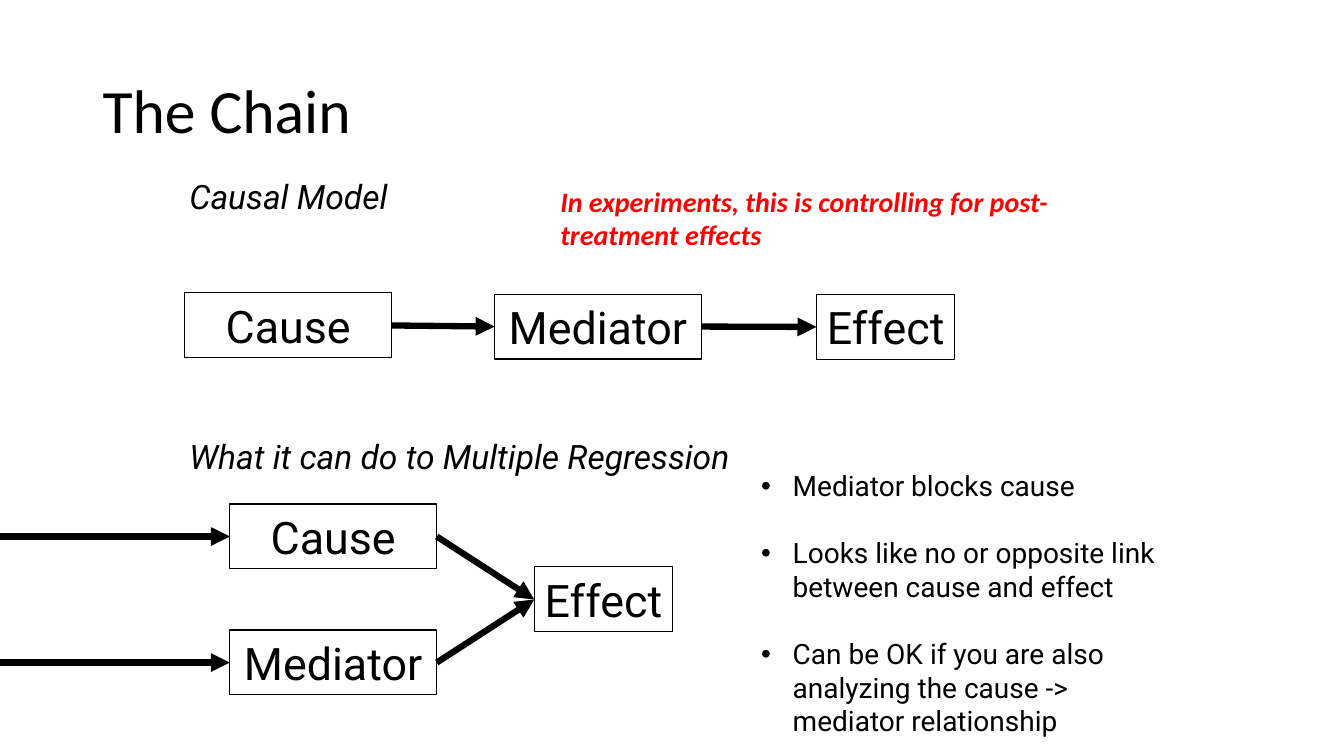
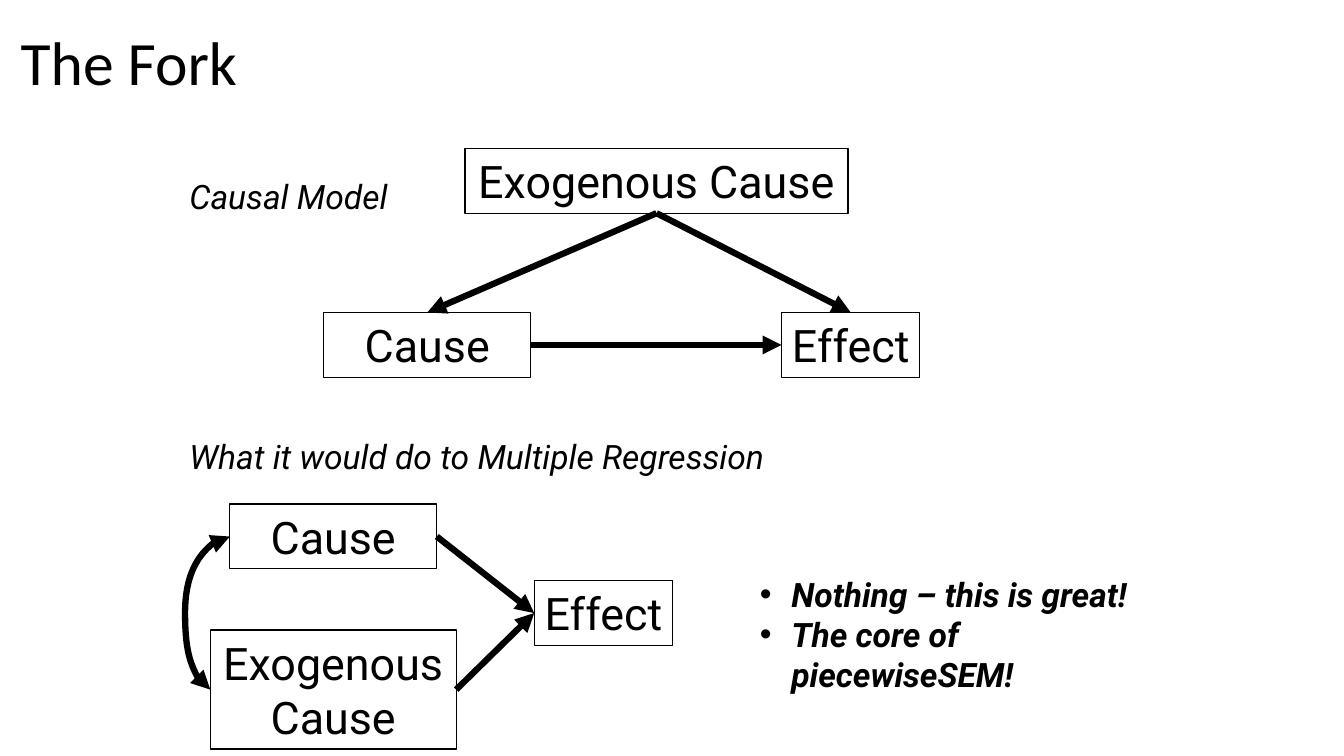
import pptx
import pptx.util
import pptx.dml.color
import pptx.enum.shapes
import pptx.enum.text
import pptx.oxml
import pptx.oxml.ns

Pt = pptx.util.Pt
BLACK = pptx.dml.color.RGBColor(0, 0, 0)
RED = pptx.dml.color.RGBColor(255, 0, 0)
HEAD, BODY = "Calibri", "Roboto"
WIDE, HIGH = pptx.util.Inches(13.33), pptx.util.Inches(7.5)
COL, ROW = WIDE / 100, HIGH / 100
BIG, SMALL, TALL = 15.4, 10.3, 8.6
TOP, LEFT, BASE, RIGHT = range(4)
ALIGN = pptx.enum.text.PP_ALIGN
ANCHOR = pptx.enum.text.MSO_ANCHOR
SHAPE = pptx.enum.shapes.MSO_SHAPE
LINK = pptx.enum.shapes.MSO_CONNECTOR


def add_tag(parent, tag, **values):
    """Append one empty drawing element and return it."""
    item = pptx.oxml.parse_xml(f"<a:{tag} {pptx.oxml.ns.nsdecls('a')}/>")
    for key, value in values.items():
        item.set(key, value)
    parent.append(item)
    return item


def scale(box):
    """Turn shares of the slide into lengths."""
    x, y, w, h = box
    return round(x * COL), round(y * ROW), round(w * COL), round(h * ROW)


def write(shape, lines, size=24, font=BODY, color=BLACK, bold=False, slant=False,
          align=ALIGN.LEFT, anchor=ANCHOR.TOP, wrap=True, lead=None, gap=0, dots=False):
    """Fill a shape with formatted paragraphs."""
    frame = shape.text_frame
    frame.word_wrap, frame.vertical_anchor = wrap, anchor
    for i, line in enumerate(lines):
        para = frame.add_paragraph() if i else frame.paragraphs[0]
        para.alignment = align
        if lead:
            para.line_spacing = lead
        if i and gap:
            para.space_before = Pt(gap)
        if dots:
            props = para._p.get_or_add_pPr()
            props.set("marL", str(Pt(22.5)))
            props.set("indent", str(-Pt(22.5)))
            add_tag(props, "buFont", typeface="Arial")
            add_tag(props, "buChar", char="•")
        run = para.add_run()
        run.text = line
        run.font.size, run.font.name = Pt(size), font
        run.font.bold, run.font.italic = bold, slant
        run.font.color.rgb = color


def put(slide, box, *lines, **style):
    """Place a text box."""
    write(slide.shapes.add_textbox(*scale(box)), lines, **style)


def title(slide, x, y, text):
    """Place the slide title."""
    put(slide, (x, y, 86.25, 19.33), text, size=44, font=HEAD,
        anchor=ANCHOR.MIDDLE, lead=0.9)


def labels(slide, *texts):
    """Head the upper and lower halves of a slide."""
    for y, text in zip((22.67, 57.07), texts):
        put(slide, (13.35, y, 48, 6.7), text, slant=True)


def node(slide, x, y, w, *lines, h=TALL):
    """Draw an outlined box of the diagram."""
    shape = slide.shapes.add_shape(SHAPE.RECTANGLE, *scale((x, y, w, h)))
    shape.shadow.inherit = False
    shape.fill.background()
    shape.line.color.rgb, shape.line.width = BLACK, Pt(0.75)
    write(shape, lines, size=32, align=ALIGN.CENTER, anchor=ANCHOR.MIDDLE, wrap=False)
    return shape


def arrow(slide, start, end, out=RIGHT, into=LEFT, kind=LINK.STRAIGHT, both=False):
    """Join two boxes, or the slide's left edge and a box."""
    y = end.top + end.height // 2
    link = slide.shapes.add_connector(kind, 0, y, end.left, y)
    if start is not None:
        link.begin_connect(start, out)
    link.end_connect(end, into)
    link.line.color.rgb, link.line.width = BLACK, Pt(4.5)
    props = link.element.spPr
    line = props.find(pptx.oxml.ns.qn("a:ln"))
    if both:
        add_tag(line, "headEnd", type="triangle")
    add_tag(line, "tailEnd", type="triangle")
    add_tag(props, "effectLst")
    return link


def loop(slide, start, end, reach):
    """Join the left sides of two boxes by a two-headed curve."""
    link = arrow(slide, start, end, out=LEFT, kind=LINK.CURVE, both=True)
    bend = (start.left - end.left + reach * COL) / (start.left - end.left)
    shape = link.element.spPr.find(pptx.oxml.ns.qn("a:prstGeom"))
    for old in list(shape):
        shape.remove(old)
    add_tag(add_tag(shape, "avLst"), "gd", name="adj1", fmla=f"val {round(bend * 100000)}")


def chain(slide, x, y):
    """Draw cause, mediator and effect in a row."""
    cause = node(slide, x, y, BIG, "Cause")
    middle = node(slide, x + 23.05, y + 0.15, BIG, "Mediator")
    effect = node(slide, x + 47, y + 0.2, SMALL, "Effect")
    arrow(slide, cause, middle)
    arrow(slide, middle, effect)


def fork(slide, x, y):
    """Draw an outer cause above a cause and its effect."""
    outer = node(slide, x + 10.5, y, 28.5, "Exogenous Cause")
    cause = node(slide, x, y + 21.73, BIG, "Cause")
    effect = node(slide, x + 34.05, y + 21.73, SMALL, "Effect")
    arrow(slide, outer, cause, BASE, TOP)
    arrow(slide, outer, effect, BASE, TOP)
    arrow(slide, cause, effect)


def merge(slide, x, y, *lines, w=BIG, h=TALL):
    """Draw two predictors pointing at one effect and return them."""
    cause = node(slide, x, y, BIG, "Cause")
    other = node(slide, x + (BIG - w) / 2, y + 16.67, w, *lines, h=h)
    mid = (16.67 + (h - TALL) / 2) / 2
    effect = node(slide, x + 22.65, y + mid, SMALL, "Effect")
    for item in (cause, other):
        arrow(slide, item, effect)
    return cause, other


def chain_page(slide):
    """Build the slide on the chain."""
    title(slide, 6.9, 5.33, "The Chain")
    labels(slide, "Causal Model", "What it can do to Multiple Regression")
    chain(slide, 13.75, 38.75)
    for item in merge(slide, 17.1, 66.67, "Mediator"):
        arrow(slide, None, item)
    put(slide, (55.9, 61.33, 31.3, 37.2), "Mediator blocks cause",
        "Looks like no or opposite link between cause and effect",
        "Can be OK if you are also analyzing the cause -> mediator relationship",
        size=20, gap=24, dots=True)
    put(slide, (40.95, 23.73, 45.5, 10.3),
        "In experiments, this is controlling for post-treatment effects",
        size=20, font=HEAD, color=RED, bold=True, slant=True)


def fork_page(slide):
    """Build the slide on the fork."""
    title(slide, 0.8, -0.93, "The Fork")
    labels(slide, "Causal Model", "What it would do to Multiple Regression")
    fork(slide, 24.1, 19.6)
    pair = merge(slide, 17.1, 66.67, "Exogenous", "Cause", w=18.3, h=15.75)
    loop(slide, *pair, reach=1.88)
    put(slide, (55.8, 75.2, 31.3, 17.5), "Nothing – this is great!",
        "The core of piecewiseSEM!", bold=True, slant=True, dots=True)


def main():
    """Build and save the deck."""
    deck = pptx.Presentation()
    deck.slide_width, deck.slide_height = WIDE, HIGH
    for page in (chain_page, fork_page):
        page(deck.slides.add_slide(deck.slide_layouts[6]))
    deck.save("out.pptx")


if __name__ == "__main__":
    main()
